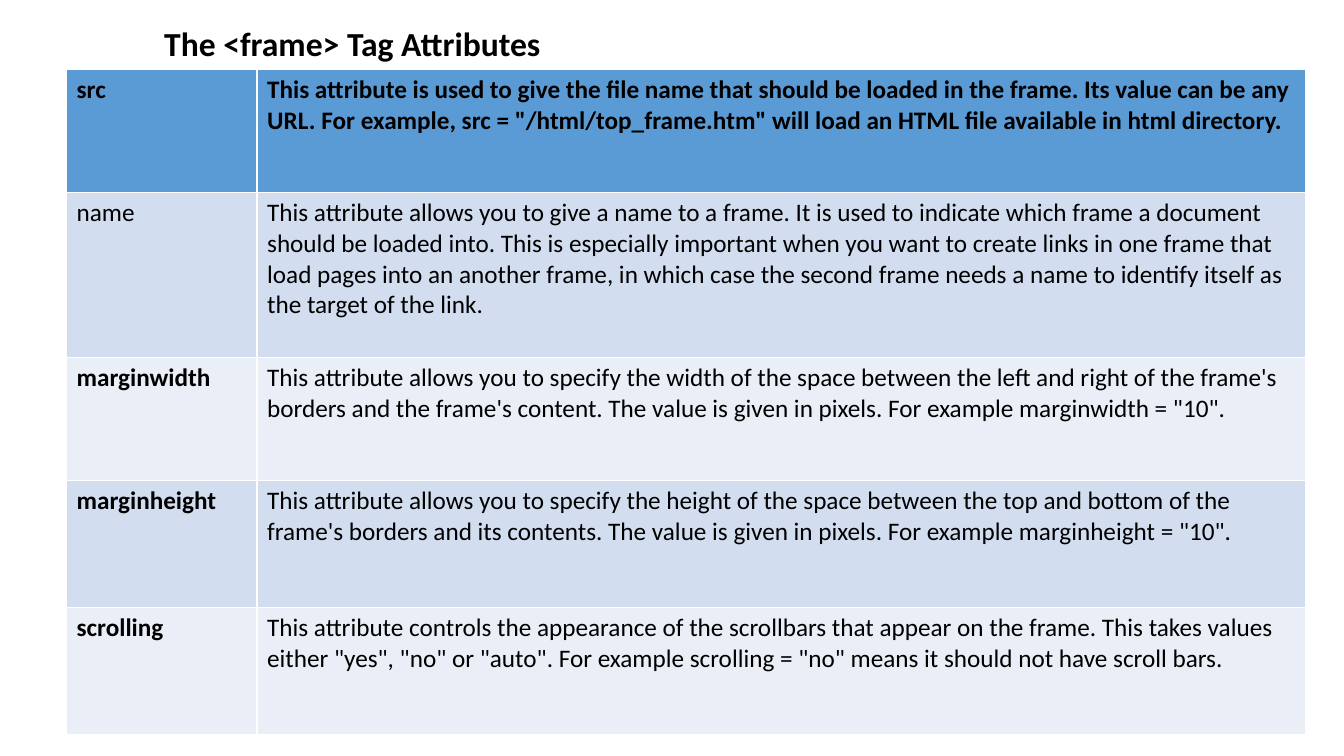
from pptx import Presentation
from pptx.dml.color import RGBColor
from pptx.util import Inches, Pt

HEADER_FILL = "5B9BD5"
BAND_FILLS = ["EAEFF7", "D2DEEF"]
COLUMN_WIDTHS = [1.89, 10.4]
ATTRIBUTES = [
    ("src", 1.22, True, True,
     "This attribute is used to give the file name that should be loaded in the frame. "
     "Its value can be any URL. For example, src = \"/html/top_frame.htm\" will load an "
     "HTML file available in html directory."),
    ("name", 1.64, False, False,
     "This attribute allows you to give a name to a frame. It is used to indicate which "
     "frame a document should be loaded into. This is especially important when you want "
     "to create links in one frame that load pages into an another frame, in which case "
     "the second frame needs a name to identify itself as the target of the link."),
    ("marginwidth", 1.22, True, False,
     "This attribute allows you to specify the width of the space between the left and "
     "right of the frame's borders and the frame's content. The value is given in pixels. "
     "For example marginwidth = \"10\"."),
    ("marginheight", 1.26, True, False,
     "This attribute allows you to specify the height of the space between the top and "
     "bottom of the frame's borders and its contents. The value is given in pixels. "
     "For example marginheight = \"10\"."),
    ("scrolling", 1.26, True, False,
     "This attribute controls the appearance of the scrollbars that appear on the frame. "
     "This takes values either \"yes\", \"no\" or \"auto\". For example scrolling = \"no\" "
     "means it should not have scroll bars."),
]


def color(value):
    return RGBColor.from_string(value)


def write_text(text_frame, text, size, bold):
    run = text_frame.paragraphs[0].add_run()
    run.text = text
    formats = {"name": "Calibri", "size": Pt(size), "bold": bold}
    for name, value in formats.items():
        setattr(run.font, name, value)
    run.font.color.rgb = color("000000")


def add_title(slide, left, top, width, height):
    box = slide.shapes.add_textbox(Inches(left), Inches(top), Inches(width), Inches(height))
    box.text_frame.word_wrap = False
    write_text(box.text_frame, "The <frame> Tag Attributes", 24, True)


def add_attribute_table(slide, left, top, width, height):
    frame = slide.shapes.add_table(len(ATTRIBUTES), len(COLUMN_WIDTHS), Inches(left),
                                   Inches(top), Inches(width), Inches(height))
    table = frame.table
    for column, column_width in zip(table.columns, COLUMN_WIDTHS):
        column.width = Inches(column_width)
    for index, (name, row_height, name_bold, text_bold, text) in enumerate(ATTRIBUTES):
        row = table.rows[index]
        row.height = Inches(row_height)
        fill = BAND_FILLS[index % 2] if index else HEADER_FILL
        for cell, content, bold in zip(row.cells, (name, text), (name_bold, text_bold)):
            cell.fill.solid()
            cell.fill.fore_color.rgb = color(fill)
            write_text(cell.text_frame, content, 18, bold)


def main():
    presentation = Presentation()
    presentation.slide_width = Inches(13.33)
    presentation.slide_height = Inches(7.5)
    slide = presentation.slides.add_slide(presentation.slide_layouts[6])
    add_title(slide, 1.53, 0.18, 3.98, 0.5)
    add_attribute_table(slide, 0.66, 0.69, 12.29, 6.6)
    presentation.save("out.pptx")


if __name__ == "__main__":
    main()
